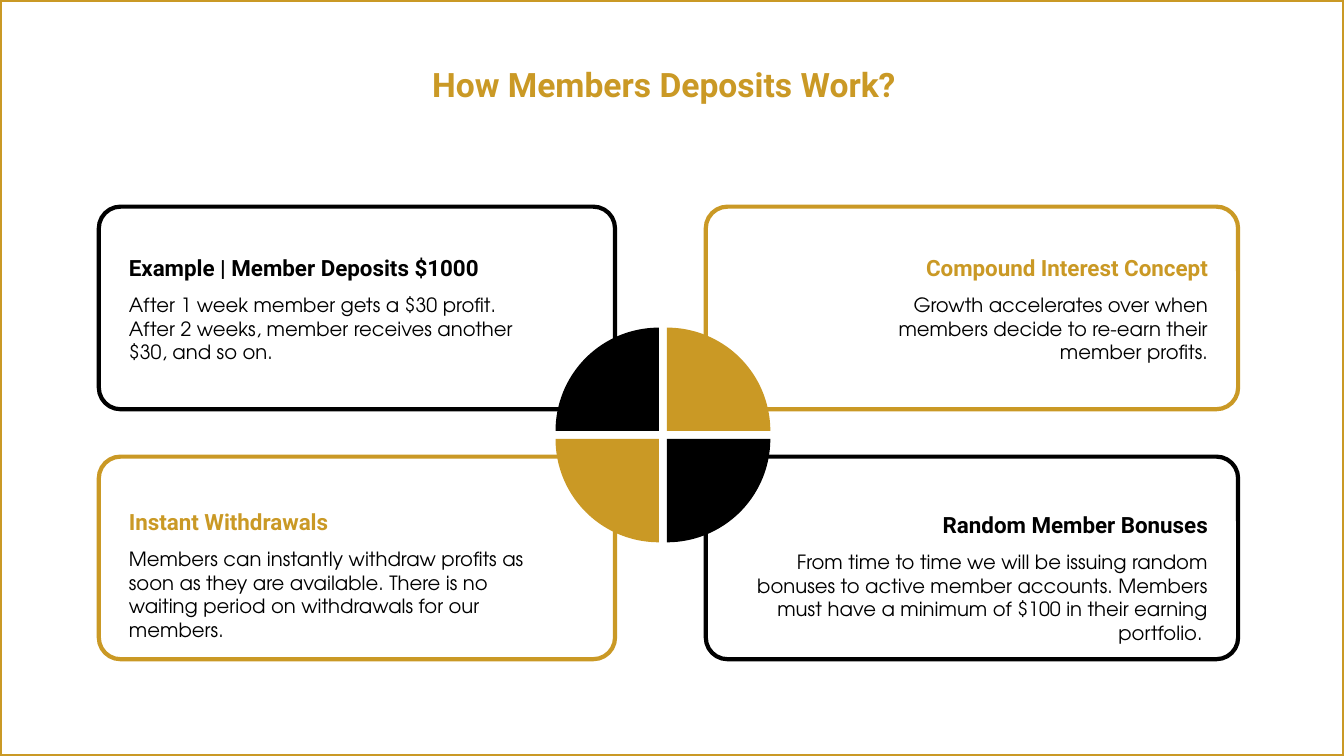
from pptx import Presentation
from pptx.dml.color import RGBColor
from pptx.enum.shapes import MSO_SHAPE as Shape
from pptx.enum.text import MSO_ANCHOR as Anchor, PP_ALIGN as Align
from pptx.util import Inches, Pt

GOLD = RGBColor(0xCA, 0x99, 0x25)
BLACK = RGBColor(0, 0, 0)

SLIDE_SIZE = (13.33, 7.5)
COLUMNS = ((0.98, 5.12), (7.0, 5.28))  # left and width of each card column
ROWS = (2.05, 4.53)
CARD_HEIGHT = 2.01
TEXT_INSET = 0.2
HEADING_SIZE = (4.56, 0.37)
BODY_DROP, BODY_HEIGHT = 0.39, 0.81
PIE_LEFT, PIE_TOP, PIE_DIAMETER = 5.51, 3.25, 2.05
PIE_GAP = 0.08
QUARTER_TURN = 54  # 90 degrees in pie adjustment units

TITLE_FORMAT = {"name": "Roboto", "size": Pt(24), "bold": True}
HEADING_FORMAT = {"name": "Roboto", "size": Pt(16), "bold": True}
BODY_FORMAT = {"name": "TeX Gyre Adventor", "size": Pt(14), "bold": False}

# column, row, colour, heading offset, body width, heading, body paragraphs
CARDS = (
    (0, 0, BLACK, 0.42, 4.09, "Example | Member Deposits $1000",
     ("After 1 week member gets a $30 profit.",
      "After 2 weeks, member receives another $30, and so on.")),
    (1, 0, GOLD, 0.42, 4.09, "Compound Interest Concept",
     ("Growth accelerates over when",
      "members decide to re-earn their",
      "member profits.")),
    (1, 1, BLACK, 0.49, 4.78, "Random Member Bonuses",
     ("From time to time we will be issuing random bonuses to active "
      "member accounts. Members must have a minimum of $100 in their "
      "earning portfolio. ",)),
    (0, 1, GOLD, 0.46, 4.32, "Instant Withdrawals",
     ("Members can instantly withdraw profits as soon as they are available. "
      "There is no waiting period on withdrawals for our members.",)),
)


def add_outline(slide, kind, box, colour):
    shape = slide.shapes.add_shape(kind, *map(Inches, box))
    shape.shadow.inherit = False
    shape.fill.background()
    shape.line.color.rgb = colour
    shape.line.width = Pt(3)
    return shape


def add_quarter(slide, column, row, colour):
    """Add one quarter of the central disc, moved outwards by the gap."""
    shape = slide.shapes.add_shape(
        Shape.PIE,
        Inches(PIE_LEFT + column * PIE_GAP), Inches(PIE_TOP + row * PIE_GAP),
        Inches(PIE_DIAMETER), Inches(PIE_DIAMETER))
    shape.shadow.inherit = False
    shape.fill.solid()
    shape.fill.fore_color.rgb = colour
    shape.line.fill.background()
    first_turn = ((2, 3), (1, 0))[row][column]
    shape.adjustments[0] = first_turn * QUARTER_TURN
    shape.adjustments[1] = (first_turn + 1) % 4 * QUARTER_TURN


def write_text(frame, lines, text_format, colour, alignment):
    frame.word_wrap = True
    frame.vertical_anchor = Anchor.TOP
    for index, line in enumerate(lines):
        paragraph = frame.add_paragraph() if index else frame.paragraphs[0]
        paragraph.alignment = alignment
        run = paragraph.add_run()
        run.text = line
        run.font.color.rgb = colour
        for name, value in text_format.items():
            setattr(run.font, name, value)


def add_card_text(slide, column, top, size, lines, text_format, colour):
    """Add text on the outer side of its card column."""
    left, card_width = COLUMNS[column]
    width, height = size
    left += card_width - TEXT_INSET - width if column else TEXT_INSET
    box = slide.shapes.add_textbox(*map(Inches, (left, top, width, height)))
    alignment = Align.RIGHT if column else Align.LEFT
    write_text(box.text_frame, lines, text_format, colour, alignment)


def add_title(slide, text):
    title = slide.shapes.title
    title.left, title.top = Inches(0.47), Inches(0.58)
    title.width, title.height = Inches(12.23), Inches(0.5)
    write_text(title.text_frame, (text,), TITLE_FORMAT, GOLD, Align.CENTER)


def main():
    presentation = Presentation()
    presentation.slide_width, presentation.slide_height = map(Inches, SLIDE_SIZE)
    slide = presentation.slides.add_slide(presentation.slide_layouts[5])

    add_outline(slide, Shape.RECTANGLE, (0, 0, *SLIDE_SIZE), GOLD)
    add_title(slide, "How Members Deposits Work?")
    for column, row, colour, *_ in CARDS:
        left, width = COLUMNS[column]
        card = add_outline(slide, Shape.ROUNDED_RECTANGLE,
                           (left, ROWS[row], width, CARD_HEIGHT), colour)
        card.adjustments[0] = 0.107
    for column, row, colour, *_ in CARDS:
        add_quarter(slide, column, row, colour)
    for column, row, colour, offset, body_width, heading, body in CARDS:
        top = ROWS[row] + offset
        add_card_text(slide, column, top, HEADING_SIZE, (heading,),
                      HEADING_FORMAT, colour)
        add_card_text(slide, column, top + BODY_DROP, (body_width, BODY_HEIGHT),
                      body, BODY_FORMAT, BLACK)

    presentation.save("out.pptx")


if __name__ == "__main__":
    main()
